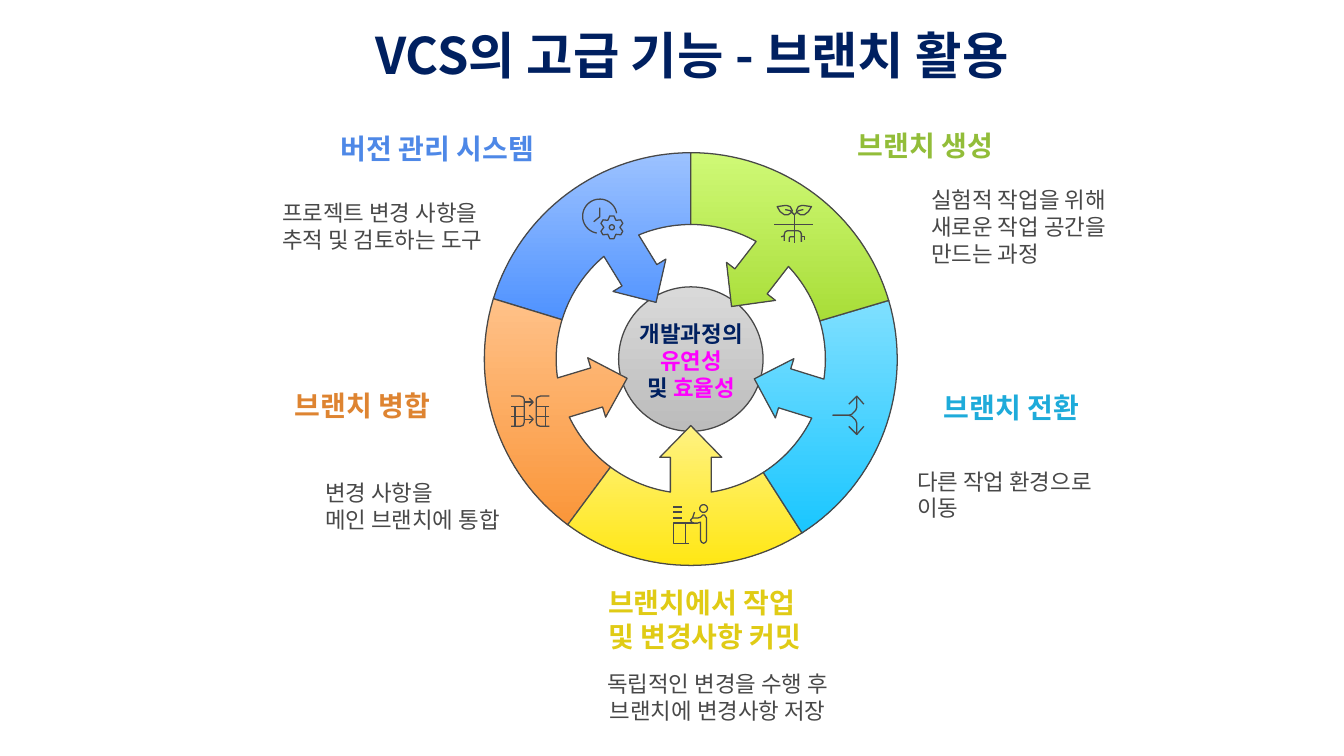
from math import asin, cos, degrees, hypot, radians, sin

from lxml import etree
from pptx import Presentation
from pptx.dml.color import RGBColor
from pptx.enum.shapes import MSO_SHAPE
from pptx.enum.text import MSO_ANCHOR, MSO_AUTO_SIZE, PP_ALIGN
from pptx.oxml.ns import qn
from pptx.util import Inches, Pt

OVAL = MSO_SHAPE.OVAL
TOP, NO_FIT = MSO_ANCHOR.TOP, MSO_AUTO_SIZE.NONE
LEFT, CENTER, RIGHT = PP_ALIGN.LEFT, PP_ALIGN.CENTER, PP_ALIGN.RIGHT

W, H = Inches(13.33), Inches(7.5)
COL, ROW = W / 40, H / 30
FONT = "Noto Sans CJK KR"
C = {
    "navy": "002060", "pink": "FF00FF", "ink": "484848",
    "blue": "4E88E7", "green": "92BD39", "orange": "DE8431",
    "cyan": "1EABDA", "yellow": "E0CB15",
}

# Wheel geometry; angles run clockwise from the top
CX, CY = 0.514 * W, 0.475 * H
OUTER, INNER, HUB = 0.273 * H, 0.178 * H, 0.0955 * H
TIP, HEAD_BASE = 0.088 * H, 0.13 * H
HEAD_HALF, SHAFT_HALF = 0.041 * H, 0.027 * H

# start angle, end angle, arrow angle, gradient top, gradient bottom
SECTORS = [
    (287, 360, 328.5, "9CC2FF", "4F92FF"),
    (216.6, 287, 253.2, "FFC188", "FA963A"),
    (147.4, 216.6, 180, "FFF282", "FFE714"),
    (73.5, 147.4, 107.3, "7FDFFF", "1AC6FF"),
    (0, 73.5, 37.8, "CFF976", "A8DD38"),
]

# column, row, columns wide, rows high, size, colour, bold, alignment, lines
LABELS = [
    (27.72, 7.4, 5.6, 3.24, 16, "ink", False, LEFT,
     ["실험적 작업을 위해", "새로운 작업 공간을 만드는 과정"]),
    (8.4, 7.92, 6.3, 2.16, 16, "ink", False, LEFT,
     ["프로젝트 변경 사항을", "추적 및 검토하는 도구"]),
    (25.53, 5.08, 4.5, 1.36, 20, "green", True, LEFT, ["브랜치 생성"]),
    (9.9, 5.2, 6, 1.36, 20, "blue", True, RIGHT, ["버전 관리 시스템"]),
    (8.6, 15.4, 4.2, 1.36, 20, "orange", True, RIGHT, ["브랜치 병합"]),
    (28.08, 15.48, 4.5, 1.36, 20, "cyan", True, LEFT, ["브랜치 전환"]),
    (9.68, 19, 5.7, 2.16, 16, "ink", False, LEFT,
     ["변경 사항을", "메인 브랜치에 통합"]),
    (27.3, 18.56, 5.6, 2.16, 16, "ink", False, LEFT,
     ["다른 작업 환경으로", "이동"]),
    (17.4, 26.6, 7.92, 2.16, 16, "ink", False, CENTER,
     ["독립적인 변경을 수행 후", "브랜치에 변경사항 저장"]),
    (18.1, 23.24, 6.3, 2.7, 20, "yellow", True, LEFT,
     ["브랜치에서 작업", "및 변경사항 커밋"]),
]


def polar(cx, cy, radius, angle):
    a = radians(angle)
    return cx + radius * sin(a), cy - radius * cos(a)


def arc(cx, cy, radius, start, end, steps=32):
    step = (end - start) / steps
    return [polar(cx, cy, radius, start + i * step) for i in range(steps + 1)]


def mirrored(strokes, x_sum=None, y_sum=None):
    """Reflect strokes so that mirrored coordinates add up to the given sum."""
    return [[(x if x_sum is None else x_sum - x,
              y if y_sum is None else y_sum - y) for x, y in stroke]
            for stroke in strokes]


def outline(shape):
    shape.shadow.inherit = False
    shape.line.color.rgb = RGBColor.from_string(C["ink"])
    shape.line.width = Pt(0.92)


def gradient(shape, top, bottom):
    shape.fill.gradient()
    shape.fill.gradient_angle = 270
    for stop, color in zip(shape.fill.gradient_stops, (top, bottom)):
        stop.color.rgb = RGBColor.from_string(color)


def freeform(s, strokes, close):
    first, *others = strokes
    builder = s.shapes.build_freeform(*first[0])
    builder.add_line_segments(first[1:], close=close)
    for stroke in others:
        builder.move_to(*stroke[0])
        builder.add_line_segments(stroke[1:], close=close)
    shape = builder.convert_to_shape()
    outline(shape)
    return shape


def sector(s, start, end, arrow, top, bottom):
    """Ring segment whose inner edge grows an arrow towards the hub."""
    def arrow_point(distance, half):
        return polar(CX, CY, hypot(distance, half),
                     arrow + degrees(asin(half / hypot(distance, half))))

    gap = degrees(asin(SHAFT_HALF / INNER))
    points = arc(CX, CY, OUTER, start, end)
    points += arc(CX, CY, INNER, end, arrow + gap)
    points += [arrow_point(HEAD_BASE, SHAFT_HALF),
               arrow_point(HEAD_BASE, HEAD_HALF),
               arrow_point(TIP, 0),
               arrow_point(HEAD_BASE, -HEAD_HALF),
               arrow_point(HEAD_BASE, -SHAFT_HALF)]
    points += arc(CX, CY, INNER, arrow - gap, start)
    gradient(freeform(s, [points], True), top, bottom)


def icon(s, col, row, strokes):
    """Line drawing; stroke points are in hundredths of an inch."""
    placed = [[(col * COL + Inches(x / 100), row * ROW + Inches(y / 100))
               for x, y in stroke] for stroke in strokes]
    freeform(s, placed, False).fill.background()


def write(sp, lines, size, bold, align):
    """Each line is a list of (text, colour name) runs."""
    tf = sp.text_frame
    tf.word_wrap, tf.auto_size, tf.vertical_anchor = True, NO_FIT, TOP
    tf.margin_left = tf.margin_right = tf.margin_top = tf.margin_bottom = 0
    for i, line in enumerate(lines):
        p = tf.add_paragraph() if i else tf.paragraphs[0]
        p.alignment, p.line_spacing = align, 1.0
        for text, color in line:
            r = p.add_run()
            r.text = text
            r.font.name, r.font.size, r.font.bold = FONT, Pt(size), bold
            r.font.color.rgb = RGBColor.from_string(C[color])
            ea = etree.SubElement(r.font._element, qn("a:ea"))
            ea.set("typeface", FONT)


def place(col, row, cols, rows):
    return [round(v) for v in (col * COL, row * ROW, cols * COL, rows * ROW)]


def label(s, box, lines, size, bold, align):
    write(s.shapes.add_textbox(*place(*box)), lines, size, bold, align)


def icons(s):
    gear = [polar(29, 28.5, r, tooth + turn) for tooth in range(0, 361, 60)
            for r, turn in ((11.5, -10), (11.5, 10), (8, 30))][:-2]
    icon(s, 17.34, 7.88, [arc(17, 17.5, 17, 190, 440), gear,
                          arc(29, 28.5, 2.5, 0, 360),
                          [(11, 23), (17, 18), (17, 9)]])

    leaf = [[(37, 2), (34, 7), (30, 10), (26, 10), (23, 8), (22, 6), (24, 2),
             (27, 1), (30, 1), (37, 2)], [(29, 5), (24, 6), (20, 10)]]
    roots = [[(10, 36), (10, 30), (11, 27), (13, 26), (24, 26), (26, 27),
              (27, 29), (27, 37)],
             [(27, 32), (30, 32), (30, 35)], [(10, 31), (7, 32)],
             [(20, 32), (16, 32), (15, 33), (15, 37)]]
    icon(s, 23.04, 8.12, [[(0, 20), (39, 20)], [(20, 10), (20, 38)],
                          *leaf, *mirrored(leaf, x_sum=40), *roots])

    bracket = [[(1, 6), (10, 6), (13, 7), (14, 9), (14, 32), (13, 35),
                (10, 36), (1, 36)], [(5, 16), (5, 36)],
               [(1, 16), (14, 16)], [(1, 26), (14, 26)]]
    arrows = [stroke for y in (12, 29) for stroke in (
        [(14, y), (23, y)], [(19, y - 4), (23, y), (19, y + 4)])]
    icon(s, 15.18, 15.48, bracket + mirrored(bracket, x_sum=40) + arrows)

    fork = [[(19, 10), (27, 2), (34, 10)],
            [(27, 2), (27, 13), (26, 16), (24, 18), (22, 20), (19, 21),
             (3, 21)]]
    icon(s, 24.69, 15.64, fork + mirrored(fork, y_sum=42))

    worker = [(30, 37), (30, 19), (27, 20), (22, 20), (20, 17), (22, 15),
              (27, 15), (30, 14), (32, 12), (34, 12), (36, 15), (36, 37),
              (35, 39), (33, 40), (31, 39), (30, 37)]
    icon(s, 19.95, 19.96, [arc(33, 5.5, 3.8, 0, 360), worker,
                           *[[(3, y), (12, y)] for y in (4, 9, 15)],
                           [(23, 20), (3, 20), (3, 40), (19, 40)],
                           [(15, 20), (15, 40)], [(22, 15), (24, 9)]])


def main():
    prs = Presentation()
    prs.slide_width, prs.slide_height = W, H
    s = prs.slides.add_slide(prs.slide_layouts[5])

    title = s.shapes.title
    title.left, title.top, title.width, title.height = place(
        10.09, 0.96, 21, 2.44)
    write(title, [[("VCS의 고급 기능 - 브랜치 활용", "navy")]], 36, True, CENTER)

    hub = s.shapes.add_shape(OVAL, round(CX - HUB), round(CY - HUB),
                             round(2 * HUB), round(2 * HUB))
    outline(hub)
    gradient(hub, "D9D9D9", "BCBCBC")
    for values in SECTORS:
        sector(s, *values)
    label(s, (19, 12.72, 3.15, 3.24),
          [[("개발과정의", "navy")], [("유연성", "pink")],
           [("및 ", "navy"), ("효율성", "pink")]], 16, True, CENTER)

    for *box, size, color, bold, align, lines in LABELS:
        label(s, box, [[(line, color)] for line in lines], size, bold, align)
    icons(s)
    prs.save("out.pptx")


if __name__ == "__main__":
    main()
